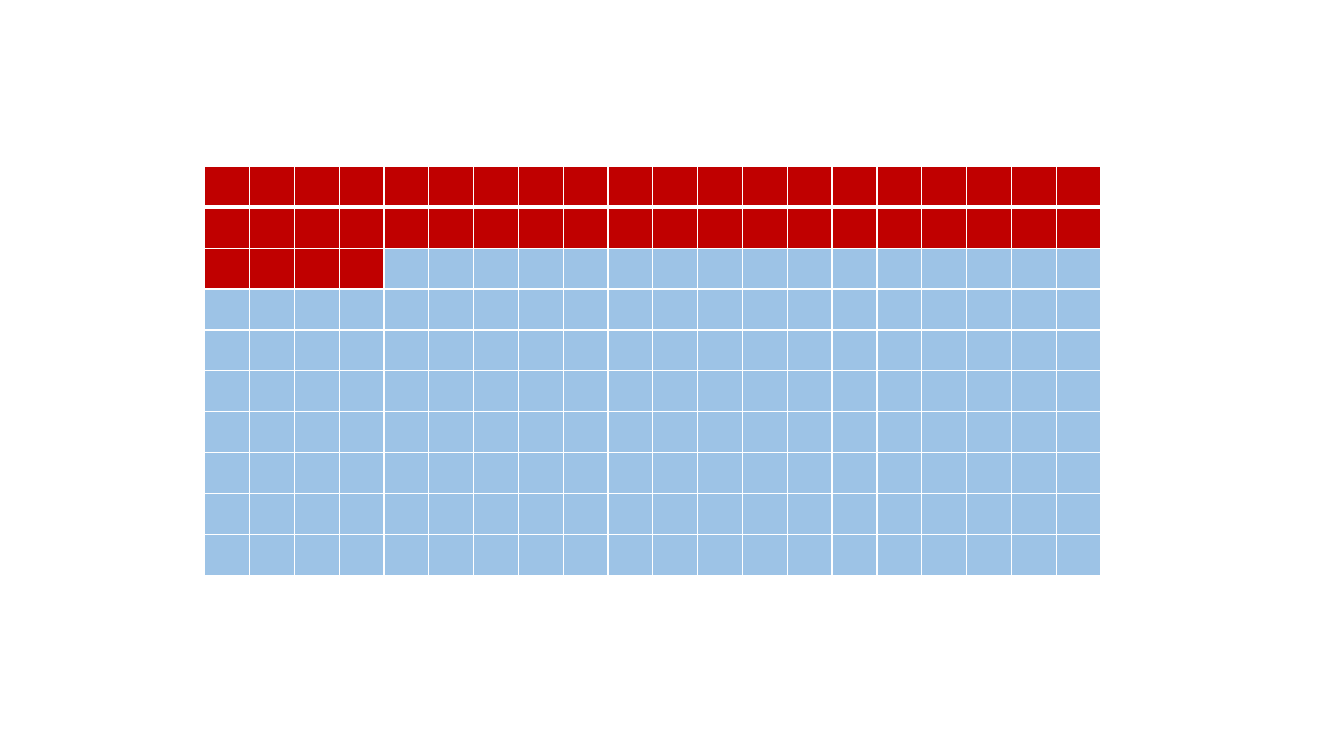
from lxml.etree import SubElement
from pptx import Presentation
from pptx.dml.color import RGBColor
from pptx.oxml.ns import qn
from pptx.util import Inches, Pt

COLORS = {"red": "C00000", "blue": "9DC3E6", "white": "FFFFFF"}
ROWS, COLS = 10, 20
RED_COUNT = 44
THIN, THICK = Pt(1), Pt(3)


def add_edge(cell, side, width):
    line = SubElement(cell._tc.get_or_add_tcPr(), qn(f"a:ln{side}"), w=str(width))
    fill = SubElement(line, qn("a:solidFill"))
    SubElement(fill, qn("a:srgbClr"), val=COLORS["white"])


def set_text(cell, text="", font="Calibri", size=18):
    cell.text = text
    style = cell.text_frame.paragraphs[0].font
    style.name = font
    style.size = Pt(size)


def paint(cell, color, top=THIN, bottom=THIN):
    for side, width in zip("LRTB", (THIN, THIN, top, bottom)):
        add_edge(cell, side, width)
    cell.fill.solid()
    cell.fill.fore_color.rgb = RGBColor.from_string(COLORS[color])


def add_grid(slide):
    table = slide.shapes.add_table(
        ROWS, COLS, Inches(2.03), Inches(1.65), Inches(8.89), Inches(4.06)
    ).table
    for index, cell in enumerate(table.iter_cells()):
        row = index // COLS
        set_text(cell)
        paint(
            cell,
            "red" if index < RED_COUNT else "blue",
            top=THICK if row == 1 else THIN,
            bottom=THICK if row == 0 else THIN,
        )


def main():
    deck = Presentation()
    deck.slide_width = Inches(13.33)
    deck.slide_height = Inches(7.5)
    slide = deck.slides.add_slide(deck.slide_layouts[6])
    add_grid(slide)
    deck.save("out.pptx")


if __name__ == "__main__":
    main()
